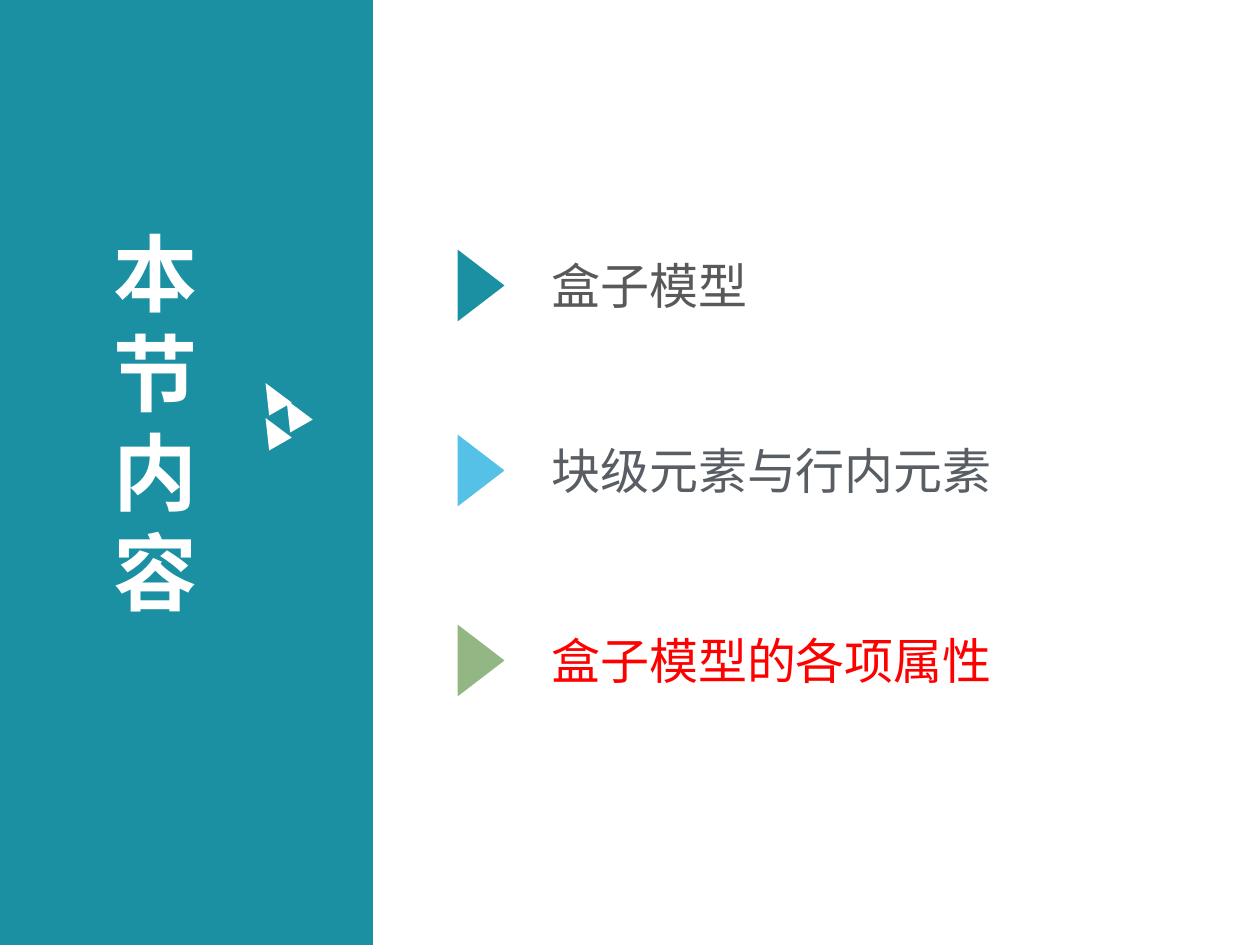
import dataclasses
import typing

import pptx
import pptx.dml.color
import pptx.enum.shapes
import pptx.enum.text
import pptx.util

PX = 914400 // 126
KIND = pptx.enum.shapes.MSO_SHAPE


@dataclasses.dataclass(frozen=True)
class Theme:
    font: str = "Noto Sans CJK SC"
    teal: str = "1B90A2"
    sky: str = "55C1E7"
    sage: str = "93B784"
    white: str = "FFFFFF"
    grey: str = "595959"
    slate: str = "595E64"
    red: str = "FF0000"
    title: int = 48
    pitch: int = 57
    item: int = 28


class Box(typing.NamedTuple):
    left: int
    top: int
    width: int
    height: int


class Item(typing.NamedTuple):
    text: str
    mid: int
    mark: str
    ink: str


THEME = Theme()
ITEMS = [
    Item("盒子模型", 285, THEME.teal, THEME.grey),
    Item("块级元素与行内元素", 470, THEME.sky, THEME.slate),
    Item("盒子模型的各项属性", 660, THEME.sage, THEME.red),
]
CHIPS = [(260, 381), (260, 416), (281, 398)]


def scale(box: Box) -> list[int]:
    return [side * PX for side in box]


def tint(color: str) -> pptx.dml.color.RGBColor:
    return pptx.dml.color.RGBColor.from_string(color)


def draw(shapes, kind, box: Box, color: str, turn: float = 0) -> None:
    """Add a plain filled shape, turned clockwise by degrees."""
    shape = shapes.add_shape(kind, *scale(box))
    shape.shadow.inherit = False
    shape.fill.solid()
    shape.fill.fore_color.rgb = tint(color)
    shape.line.fill.background()
    shape.rotation = turn


def write(shapes, text: str, box: Box, *, size: int, color: str,
          bold: bool = False, pitch: int | None = None) -> None:
    frame = shapes.add_textbox(*scale(box)).text_frame
    frame.word_wrap = True
    frame.vertical_anchor = pptx.enum.text.MSO_ANCHOR.MIDDLE
    para = frame.paragraphs[0]
    if pitch:
        para.line_spacing = pptx.util.Pt(pitch)
    run = para.add_run()
    run.text = text
    font = run.font
    font.name = THEME.font
    font.size = pptx.util.Pt(size)
    font.bold = bold
    font.color.rgb = tint(color)
    # East Asian glyphs take their typeface from a:ea
    face = font._element.makeelement(pptx.oxml.ns.qn("a:ea"), {"typeface": THEME.font})
    font._element.find(pptx.oxml.ns.qn("a:latin")).addnext(face)


def panel(shapes) -> None:
    draw(shapes, KIND.RECTANGLE, Box(0, 0, 373, 945), THEME.teal)
    write(shapes, "本节内容", Box(101, 212, 165, 420), size=THEME.title,
          color=THEME.white, bold=True, pitch=THEME.pitch)
    group = shapes.add_group_shape().shapes
    for left, top in CHIPS:
        draw(group, KIND.ISOSCELES_TRIANGLE, Box(left, top, 26, 30), THEME.white, 330.2)


def entry(shapes, item: Item) -> None:
    wide, high = 72, 47
    mark = Box(481 - wide // 2, item.mid - high // 2, wide, high)
    draw(shapes, KIND.ISOSCELES_TRIANGLE, mark, item.mark, 90)
    write(shapes, item.text, Box(539, item.mid - 36, 702, 72),
          size=THEME.item, color=item.ink)


def main() -> None:
    deck = pptx.Presentation()
    deck.slide_width, deck.slide_height = 1260 * PX, 945 * PX
    shapes = deck.slides.add_slide(deck.slide_layouts[6]).shapes
    panel(shapes)
    for item in ITEMS:
        entry(shapes, item)
    deck.save("out.pptx")


if __name__ == "__main__":
    main()
